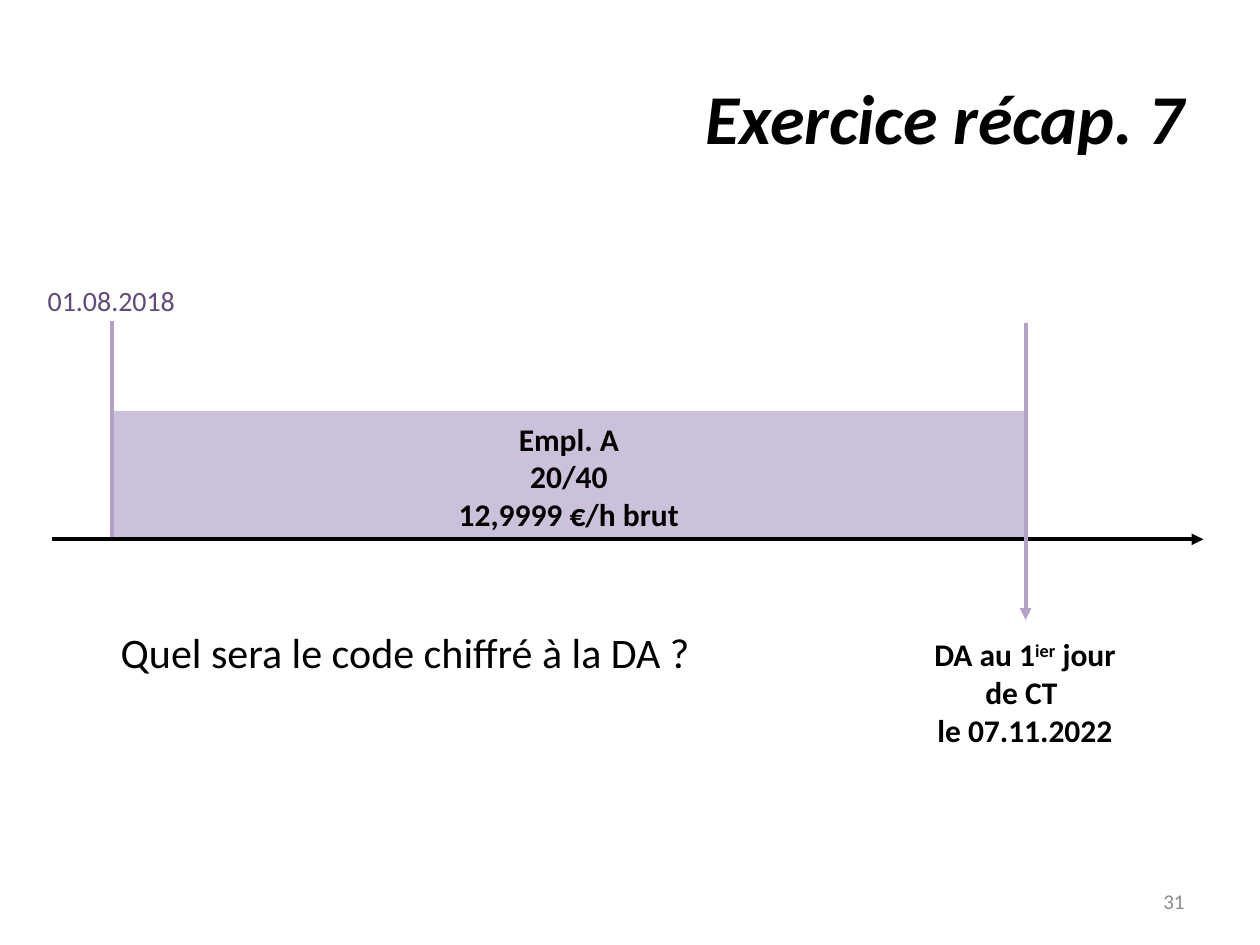
"""Build the slide of recap exercise 7 with its employment timeline."""
from lxml import etree
from pptx import Presentation
from pptx.dml.color import RGBColor
from pptx.enum.shapes import MSO_CONNECTOR, MSO_SHAPE
from pptx.enum.text import MSO_ANCHOR, PP_ALIGN
from pptx.oxml.ns import qn
from pptx.util import Inches, Pt

STRAIGHT = MSO_CONNECTOR.STRAIGHT
RECTANGLE = MSO_SHAPE.RECTANGLE
TOP, MIDDLE = MSO_ANCHOR.TOP, MSO_ANCHOR.MIDDLE
LEFT, CENTER, RIGHT = PP_ALIGN.LEFT, PP_ALIGN.CENTER, PP_ALIGN.RIGHT

BLACK = RGBColor(0x00, 0x00, 0x00)
GRAY = RGBColor(0x8C, 0x8C, 0x8C)
LIGHT_PURPLE = RGBColor(0xCC, 0xC1, 0xDA)
PURPLE = RGBColor(0xB3, 0xA2, 0xC7)
DARK_PURPLE = RGBColor(0x60, 0x4A, 0x7B)

START_X, END_X, AXIS_Y = 0.89, 8.14, 4.28
PERIOD_HEIGHT = 1


def write_text(shape, text, size, color=BLACK, align=LEFT, anchor=TOP, bold=False, italic=False):
    text_frame = shape.text_frame
    text_frame.word_wrap = True
    text_frame.vertical_anchor = anchor
    text_frame.text = text
    for paragraph in text_frame.paragraphs:
        paragraph.alignment = align
        for run in paragraph.runs:
            run.font.name = "Calibri"
            run.font.size = Pt(size)
            run.font.bold = bold
            run.font.italic = italic
            run.font.color.rgb = color


def add_line(start_x, start_y, end_x, end_y, color, arrow):
    connector = slide.shapes.add_connector(
        STRAIGHT, Inches(start_x), Inches(start_y), Inches(end_x), Inches(end_y))
    connector.line.color.rgb = color
    connector.line.width = Pt(2.25)
    if arrow:
        line = connector.line._get_or_add_ln()
        etree.SubElement(line, qn("a:tailEnd"), type="triangle")
    etree.SubElement(connector._element.spPr, qn("a:effectLst"))


presentation = Presentation()
presentation.slide_width = Inches(10)
presentation.slide_height = Inches(7.5)
slide = presentation.slides.add_slide(presentation.slide_layouts[6])

title = slide.shapes.add_textbox(Inches(0.5), Inches(0.3), Inches(9), Inches(1.25))
write_text(title, "Exercice récap. 7", 40, align=RIGHT, anchor=MIDDLE, bold=True, italic=True)

page_number = slide.shapes.add_textbox(Inches(7.17), Inches(6.95), Inches(2.33), Inches(0.4))
write_text(page_number, "31", 12, GRAY, RIGHT, MIDDLE)

request = slide.shapes.add_textbox(Inches(7.31), Inches(4.99), Inches(1.65), Inches(1.01))
write_text(request, "DA au 1\nle 07.11.2022", 18, align=CENTER, bold=True)
first_line = request.text_frame.paragraphs[0]
for text, baseline in (("ier", "30000"), (" jour de CT ", "0")):
    run = first_line.add_run()
    run.text = text
    run.font.name = "Calibri"
    run.font.size = Pt(18)
    run.font.bold = True
    run.font.color.rgb = BLACK
    run.font._element.set("baseline", baseline)

period = slide.shapes.add_shape(
    RECTANGLE, Inches(START_X), Inches(AXIS_Y - PERIOD_HEIGHT),
    Inches(END_X - START_X), Inches(PERIOD_HEIGHT))
period.shadow.inherit = False
period.fill.solid()
period.fill.fore_color.rgb = LIGHT_PURPLE
period.line.color.rgb = LIGHT_PURPLE
period.line.width = Pt(2)
write_text(period, "Empl. A\n20/40\n12,9999 €/h brut", 18, align=CENTER, anchor=MIDDLE, bold=True)

add_line(START_X, 2.55, START_X, AXIS_Y, PURPLE, arrow=False)

start_date = slide.shapes.add_textbox(Inches(0.28), Inches(2.2), Inches(1.22), Inches(0.37))
write_text(start_date, "01.08.2018", 16, DARK_PURPLE)

add_line(0.41, AXIS_Y, 9.55, AXIS_Y, BLACK, arrow=True)
add_line(END_X, 2.56, END_X, 4.92, PURPLE, arrow=True)

question = slide.shapes.add_textbox(Inches(0.86), Inches(4.92), Inches(6.45), Inches(0.5))
write_text(question, "Quel sera le code chiffré à la DA ?", 24)

presentation.save("out.pptx")
